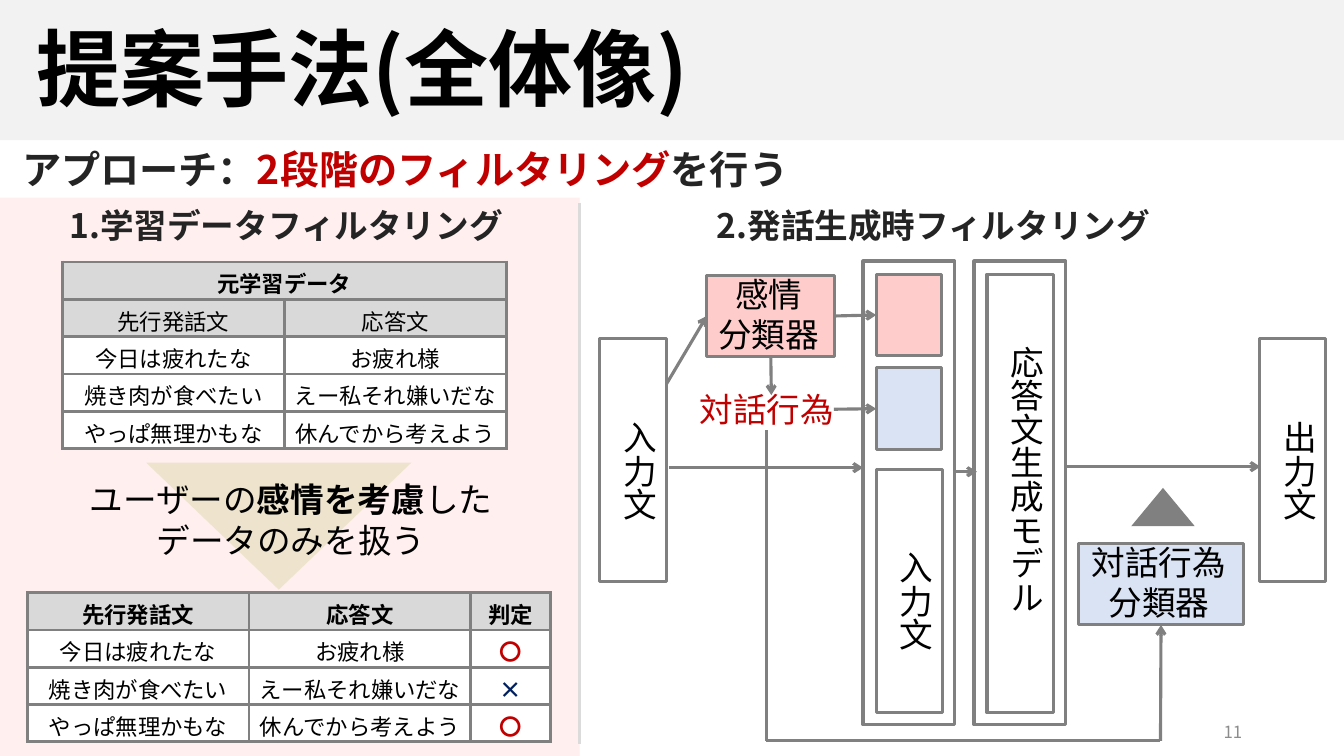
from dataclasses import dataclass

from lxml.etree import SubElement
from pptx import Presentation
from pptx.dml.color import RGBColor
from pptx.enum.shapes import MSO_CONNECTOR, MSO_SHAPE
from pptx.enum.text import MSO_ANCHOR as ANCHOR, PP_ALIGN as ALIGN
from pptx.oxml.ns import qn
from pptx.util import Inches, Pt


@dataclass(frozen=True)
class Theme:
    font: str = "Noto Sans CJK JP"
    black: str = "000000"
    ink: str = "242424"
    muted: str = "8C8C8C"
    red: str = "C00000"
    navy: str = "002060"
    line: str = "808080"
    divider: str = "DBDBDB"
    white: str = "FFFFFF"
    band: str = "F2F2F2"
    panel: str = "FFEFEF"
    sand: str = "EEE4CE"
    header: str = "D9D9D9"
    pink: str = "FFCCCC"
    blue: str = "DAE3F3"
    title: int = 60
    lead: int = 28
    body: int = 24
    cell: int = 16
    small: int = 12
    stroke: float = 2.25


T = Theme()
TOP, LEFT, BOTTOM, RIGHT = range(4)
CIRCLE = [("〇", T.red, True)]
CROSS = [("×", T.navy, True)]


def rgb(value):
    return RGBColor.from_string(value)


def inches(*values):
    return [Inches(v) for v in values]


def write(tf, paras, size, color=T.black, bold=False, align=ALIGN.LEFT):
    """Fill tf; a paragraph is a string or a list of (text, color, bold) runs."""
    for i, para in enumerate(paras):
        p = tf.add_paragraph() if i else tf.paragraphs[0]
        p.alignment = align
        f = p.font
        f.name, f.size, f.bold = T.font, Pt(size), bold
        f.color.rgb = rgb(color)
        fonts = [p._p.pPr.find(qn("a:defRPr"))]
        for text, run_color, run_bold in [(para, None, None)] if isinstance(para, str) else para:
            r = p.add_run()
            r.text = text
            if run_color:
                r.font.color.rgb = rgb(run_color)
                r.font.bold = run_bold
        for props in fonts:
            SubElement(props, qn("a:ea"), typeface=T.font)


def add_text(s, box, paras, size=T.body, anchor=ANCHOR.MIDDLE, vertical=False, **style):
    tf = s.shapes.add_textbox(*inches(*box)).text_frame
    tf.word_wrap = True
    tf.vertical_anchor = anchor
    if vertical:
        tf._txBody.bodyPr.set("vert", "eaVert")
    write(tf, paras, size, **style)


def add_box(s, box, fill=None, line=None, kind=MSO_SHAPE.RECTANGLE):
    sp = s.shapes.add_shape(kind, *inches(*box))
    sp.shadow.inherit = False
    if fill:
        sp.fill.solid()
        sp.fill.fore_color.rgb = rgb(fill)
    else:
        sp.fill.background()
    if line:
        sp.line.color.rgb = rgb(line)
        sp.line.width = Pt(T.stroke)
    else:
        sp.line.fill.background()
    return sp


def add_line(s, start, end, color=T.line, arrow=False):
    """Draw a line; each end is an (x, y) point or a (shape, site) pair."""
    points = [(0, 0) if hasattr(e[0], "shape_id") else e for e in (start, end)]
    c = s.shapes.add_connector(MSO_CONNECTOR.STRAIGHT, *inches(*points[0], *points[1]))
    if hasattr(start[0], "shape_id"):
        c.begin_connect(*start)
    if hasattr(end[0], "shape_id"):
        c.end_connect(*end)
    c.line.color.rgb = rgb(color)
    c.line.width = Pt(T.stroke)
    if arrow:
        SubElement(c.line._get_or_add_ln(), qn("a:tailEnd"), type="arrow")
    SubElement(c._element.spPr, qn("a:effectLst"))


def add_grid(s, x, y, widths, rows, headers, row_height=0.37):
    """Add a table whose first `headers` rows are grey and first row is bold."""
    frame = s.shapes.add_table(len(rows), len(widths),
                               *inches(x, y, sum(widths), row_height * len(rows)))
    table = frame.table
    table.first_row = table.horz_banding = False
    for col, width in zip(table.columns, widths):
        col.width = Inches(width)
    for i, row in enumerate(rows):
        table.rows[i].height = Inches(row_height)
        for j in range(len(widths)):
            cell = table.cell(i, j)
            pr = cell._tc.get_or_add_tcPr()
            for side in ("lnL", "lnR", "lnT", "lnB"):
                ln = SubElement(pr, qn(f"a:{side}"), w=str(Pt(T.stroke)))
                SubElement(SubElement(ln, qn("a:solidFill")), qn("a:srgbClr"), val=T.line)
            cell.fill.solid()
            cell.fill.fore_color.rgb = rgb(T.header if i < headers else T.white)
            if j < len(row):
                write(cell.text_frame, [row[j]], T.cell, bold=i == 0, align=ALIGN.CENTER)
        if len(row) < len(widths):
            table.cell(i, len(row) - 1).merge(table.cell(i, len(widths) - 1))


def add_column(s, box, text, drop):
    """Add a tall box whose vertical text starts `drop` below its top."""
    x, y, _, h = box
    sp = add_box(s, box, line=T.line)
    add_text(s, (x + 0.03, y + drop, 0.61, h - drop), [text], anchor=ANCHOR.TOP, vertical=True)
    return sp


def add_classifier(s, box, subject, fill):
    x, y, w, h = box
    sp = add_box(s, box, fill, T.line)
    add_text(s, (x - 0.02, y - 0.07, w, h + 0.1), [subject, "分類器"], align=ALIGN.CENTER)
    return sp


def add_heading(s, x, y, text):
    add_text(s, (x, y, 5.73, 0.5), [text], color=T.ink, bold=True)


def title_band(s, box):
    x, y, w, h = box
    add_box(s, box, T.band)
    title = s.shapes.title
    s.shapes._spTree.append(title._element)
    title.left, title.top, title.width, title.height = inches(x + 0.26, y + 0.11, 7.84, 1.11)
    title.text_frame.vertical_anchor = ANCHOR.MIDDLE
    write(title.text_frame, ["提案手法(全体像)"], T.title, bold=True)
    add_text(s, (x + 0.12, y + h, 9.68, 0.57),
             [[("アプローチ：", T.ink, True), ("2段階のフィルタリング", T.red, True),
               ("を行う", T.ink, True)]], T.lead, bold=True)


def training_panel(s, box):
    x, y, w, h = box
    add_box(s, box, T.panel)
    add_line(s, (x + w, y + 0.05), (x + w, y + h - 0.12), T.divider)
    add_heading(s, x + 0.59, y + 0.02, "1.学習データフィルタリング")
    pairs = [["今日は疲れたな", "お疲れ様"],
             ["焼き肉が食べたい", "えー私それ嫌いだな"],
             ["やっぱ無理かもな", "休んでから考えよう"]]
    names = ["先行発話文", "応答文"]
    add_grid(s, x + 0.62, y + 0.64, [2.2, 2.2], [["元学習データ"], names, *pairs], 2)
    funnel = add_box(s, (x + 1.45, y + 2.63, 2.63, 1.26), T.sand,
                     kind=MSO_SHAPE.FLOWCHART_EXTRACT)
    funnel.rotation = 180
    add_text(s, (x + 0.59, y + 2.74, 4.59, 0.91),
             [[("ユーザーの", T.black, False), ("感情を考慮", T.black, True),
               ("した", T.black, False)], "データのみを扱う"], align=ALIGN.CENTER)
    judged = [pair + [mark] for pair, mark in zip(pairs, (CIRCLE, CROSS, CIRCLE))]
    add_grid(s, x + 0.27, y + 3.92, [2.2, 2.2, 0.79], [names + ["判定"], *judged], 1)


def generation_panel(s, box):
    x, y, w, h = box
    add_heading(s, x + 1.26, y + 0.02, "2.発話生成時フィルタリング")
    add_column(s, (x + 0.2, y + 1.4, 0.66, 2.41), "入力文", 0.72)
    add_box(s, (x + 2.81, y + 0.63, 0.91, 4.6), line=T.line)
    add_column(s, (x + 2.94, y + 2.7, 0.66, 2.41), "入力文", 0.71)
    emotion_slot, act_slot = [add_box(s, (x + 2.94, y + top, 0.65, 0.81), fill, T.line)
                              for top, fill in ((0.76, T.pink), (1.69, T.blue))]
    emotion = add_classifier(s, (x + 1.26, y + 0.77, 1.27, 0.81), "感情", T.pink)
    act = add_classifier(s, (x + 4.95, y + 3.43, 1.63, 0.81), "対話行為", T.blue)
    add_box(s, (x + 3.91, y + 0.63, 0.91, 4.6), line=T.line)
    add_column(s, (x + 4.04, y + 0.76, 0.66, 4.35), "応答文生成モデル", 0.61)
    add_column(s, (x + 6.74, y + 1.4, 0.66, 2.41), "出力文", 0.72)
    add_text(s, (x + 1.07, y + 1.85, 1.57, 0.5), ["対話行為"], color=T.red, align=ALIGN.CENTER)
    add_box(s, (x + 5.47, y + 2.88, 0.63, 0.38), T.line, kind=MSO_SHAPE.ISOSCELES_TRIANGLE)

    corner, turn = (x + 1.85, y + 5.39), (x + 5.76, y + 5.39)
    for start, end, arrow in (
            ((x + 0.89, y + 2.68), (x + 2.81, y + 2.68), True),
            ((x + 4.83, y + 2.67), (x + 6.75, y + 2.67), True),
            ((emotion, RIGHT), (emotion_slot, LEFT), True),
            ((x + 2.52, y + 2.1), (act_slot, LEFT), True),
            ((emotion, BOTTOM), (x + 1.9, y + 1.96), True),
            ((x + 0.86, y + 1.85), (emotion, LEFT), True),
            ((x + 3.7, y + 2.72), (x + 3.94, y + 2.72), True),
            ((x + 1.85, y + 2.31), corner, False),
            (corner, turn, False),
            (turn, (act, BOTTOM), True)):
        add_line(s, start, end, arrow=arrow)
    add_text(s, (x + 3.67, y + 5.1, 3, 0.4), ["11"], T.small, color=T.muted, align=ALIGN.RIGHT)


def main():
    prs = Presentation()
    prs.slide_width, prs.slide_height = inches(13.33, 7.5)
    s = prs.slides.add_slide(prs.slide_layouts[5])
    title_band(s, (0, 0, 13.33, 1.39))
    training_panel(s, (0, 1.96, 5.75, 5.54))
    generation_panel(s, (5.75, 1.96, 7.58, 5.54))
    prs.save("out.pptx")


if __name__ == "__main__":
    main()
